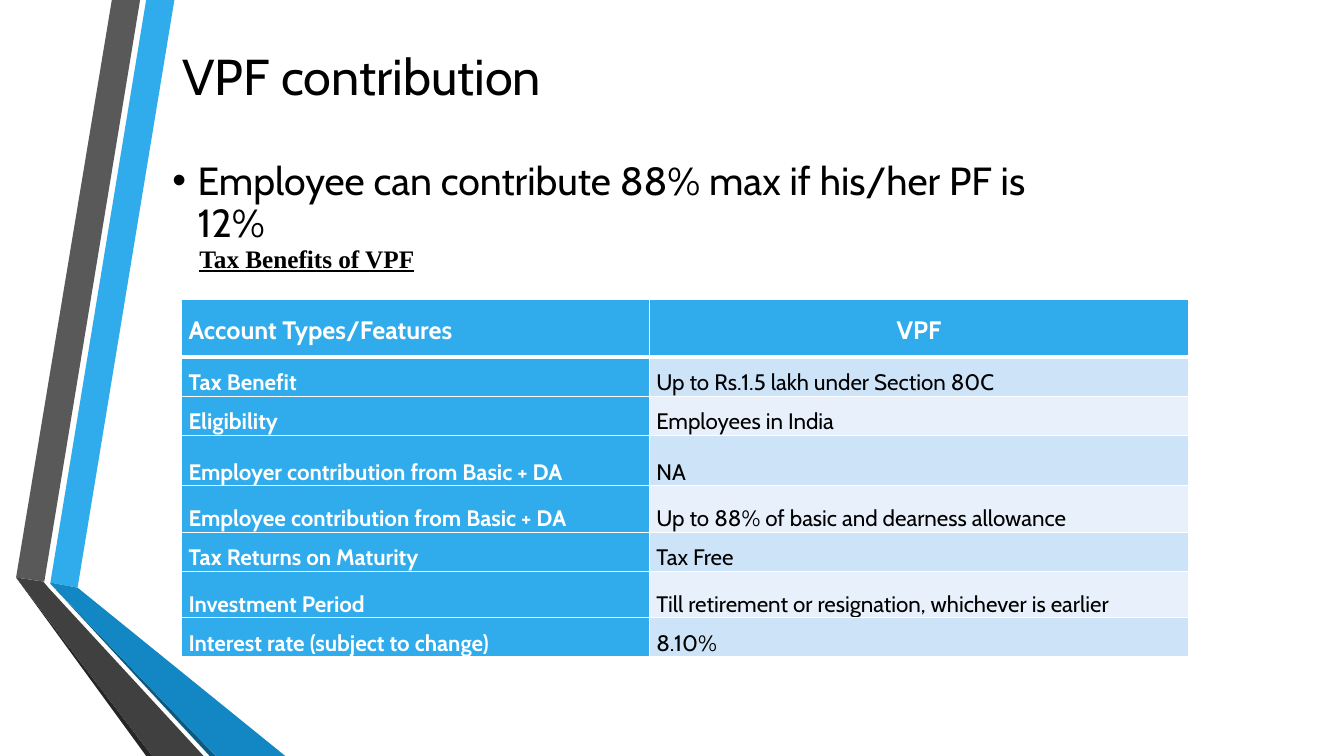
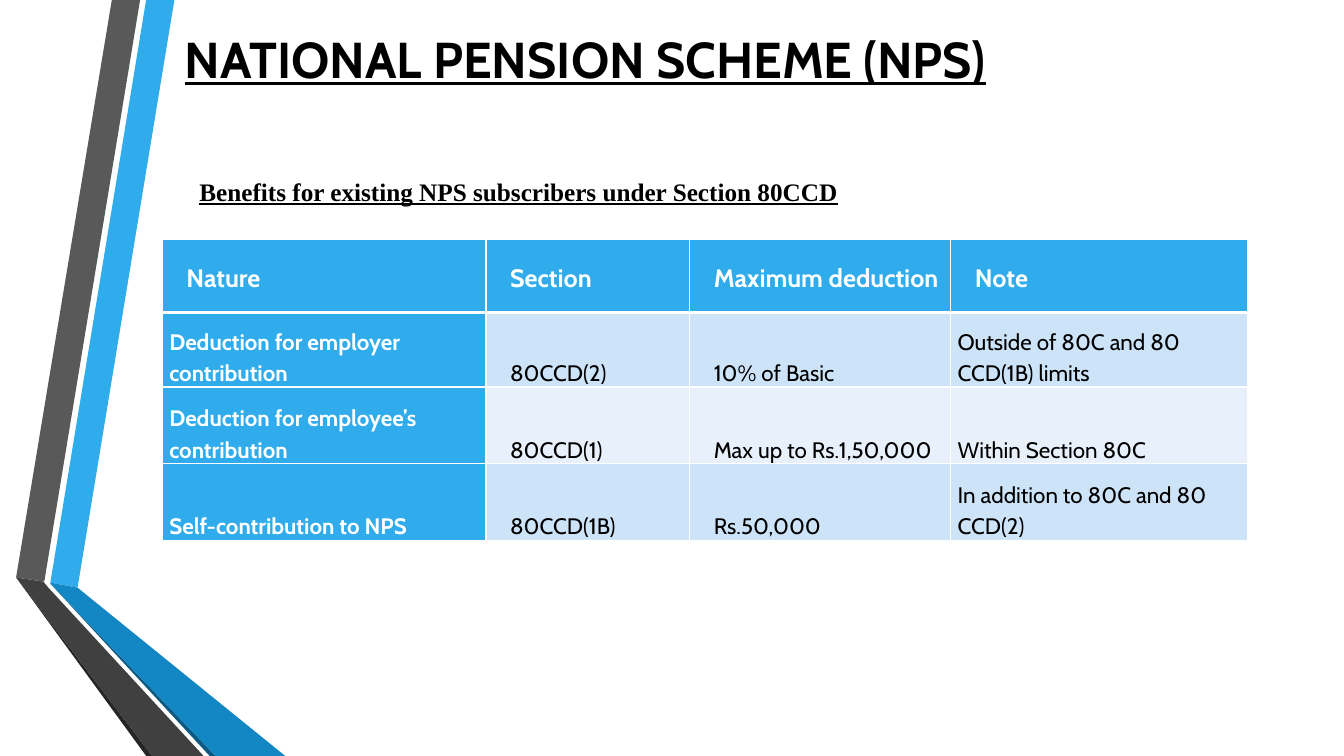
"""Build two slides on VPF and NPS retirement contributions."""
import pptx
import pptx.util
import pptx.dml.color
import pptx.enum.text
import pptx.oxml
import pptx.oxml.ns

PX = 9144
COLOURS = {
    "blue": "30ACEC", "deep_blue": "1287C3", "navy": "0C5A82",
    "grey": "595959", "dark_grey": "404040", "charcoal": "262626",
    "stripe": "CDE3F8", "pale_stripe": "E8F1FB",
    "text": "000000", "white": "FFFFFF",
}
BANDS = [
    ("blue", [(50, 578), (77, 583), (173, 0), (145, 0)]),
    ("grey", [(139, 0), (111, 0), (16, 573), (44, 577)]),
    ("charcoal", [(16, 573), (145, 750), (151, 750)]),
    ("navy", [(50, 579), (208, 750), (214, 750)]),
    ("deep_blue", [(50, 579), (214, 750), (283, 750), (77, 583), (50, 578)]),
    ("dark_grey", [(202, 750), (48, 583), (43, 577), (16, 573), (151, 750)]),
]
ALIGN = pptx.enum.text.PP_ALIGN
ANCHOR = pptx.enum.text.MSO_ANCHOR
TITLE = {"name": "Cabin", "size": pptx.util.Pt(36), "bold": False}
TITLE_STRONG = {**TITLE, "bold": True, "underline": True}
BODY = {"name": "Cabin", "size": pptx.util.Pt(28)}
CAPTION = {"name": "Times New Roman", "size": pptx.util.Pt(18), "bold": True, "underline": True}
HEADER = {"name": "Cabin", "size": pptx.util.Pt(18), "bold": True}
CELL = {"name": "Cabin", "size": pptx.util.Pt(16), "bold": False}
CELL_STRONG = {**CELL, "bold": True}
CELL_FRAME = {"margin_left": 7 * PX, "margin_right": 7 * PX, "margin_top": 0, "margin_bottom": 0}
SHAPE_FRAME = {"word_wrap": True, "auto_size": pptx.enum.text.MSO_AUTO_SIZE.NONE}


def apply(obj, values):
    """Set each named attribute of an object."""
    for name, value in values.items():
        setattr(obj, name, value)


def rgb(name):
    """Return a palette colour."""
    return pptx.dml.color.RGBColor.from_string(COLOURS[name])


def fill(obj, colour):
    """Fill a shape or cell with a palette colour."""
    obj.fill.solid()
    obj.fill.fore_color.rgb = rgb(colour)


def place(sp, box):
    """Position a shape by left, top, width and height in px."""
    apply(sp, dict(zip(("left", "top", "width", "height"), (v * PX for v in box))))


def write(tf, text, font, colour="text", para=None, margin=0, indent=0):
    """Write one formatted paragraph into a text frame."""
    p = tf.paragraphs[0]
    r = p.add_run()
    r.text = text
    apply(r.font, font)
    r.font.color.rgb = rgb(colour)
    apply(p, para or {})
    if margin or indent:
        pPr = p._p.get_or_add_pPr()
        pPr.set("marL", str(margin * PX))
        pPr.set("indent", str(indent * PX))


def fill_frame(sp, box, text, font, anchor=ANCHOR.MIDDLE, **options):
    """Place a text shape and write its paragraph."""
    place(sp, box)
    apply(sp.text_frame, {**SHAPE_FRAME, "vertical_anchor": anchor})
    write(sp.text_frame, text, font, **options)


def add_caption(slide, box, text):
    """Add an underlined caption above a table."""
    fill_frame(slide.shapes.add_textbox(0, 0, 0, 0), box, text, CAPTION)


def add_bands(prs, slide):
    """Draw the folded bands and move them to the slide master."""
    for i, (colour, points) in enumerate(BANDS):
        builder = slide.shapes.build_freeform(*points[0], scale=PX)
        builder.add_line_segments(points[1:], close=True)
        sp = builder.convert_to_shape()
        sp.shadow.inherit = False
        fill(sp, colour)
        sp.line.fill.background()
        sp.element.xpath(".//p:cNvPr")[0].set("id", str(100 + i))
        prs.slide_master.shapes.element.insert(2 + i, sp.element)


def set_borders(cell, **points):
    """Draw white borders whose widths are given per side in points."""
    tcPr = cell._tc.get_or_add_tcPr()
    for i, side in enumerate("LRTB"):
        tcPr.insert(i, pptx.oxml.parse_xml(
            f'<a:ln{side} {pptx.oxml.ns.nsdecls("a")} w="{points.get(side, 1) * 12700}">'
            f'<a:solidFill><a:srgbClr val="{COLOURS["white"]}"/></a:solidFill></a:ln{side}>'))


def add_table(slide, left, top, widths, heights, rows, indents, header_indent=0, header_aligns=None):
    """Add a table with a blue header row and first column over striped cells."""
    box = [v * PX for v in (left, top, sum(widths), sum(heights))]
    table = slide.shapes.add_table(len(rows), len(widths), *box).table
    for column, width in zip(table.columns, widths):
        column.width = width * PX
    for i, (row, height) in enumerate(zip(rows, heights)):
        table.rows[i].height = height * PX
        for j, text in enumerate(row):
            cell = table.cell(i, j)
            header, strong = i == 0, i == 0 or j == 0
            stripe = "stripe" if i % 2 else "pale_stripe"
            fill(cell, "blue" if strong else stripe)
            set_borders(cell, B=3 if header else 1, T=3 if i == 1 else 1)
            apply(cell, {**CELL_FRAME, "vertical_anchor": ANCHOR.MIDDLE if header else ANCHOR.BOTTOM})
            para = {"line_spacing": 1.15}
            if header and header_aligns:
                para["alignment"] = header_aligns[j]
            write(cell.text_frame, text, HEADER if header else CELL_STRONG if strong else CELL,
                  "white" if strong else "text", para, indent=header_indent if header else indents[j])


def build_vpf(slide):
    """Fill the slide on VPF contributions."""
    fill_frame(slide.shapes.title, (171, 37, 786, 76), "VPF contribution", TITLE,
               para={"alignment": ALIGN.LEFT})
    fill_frame(slide.placeholders[1], (161, 155, 912, 81),
               "Employee can contribute 88% max if his/her PF is 12%", BODY, ANCHOR.TOP,
               para={"line_spacing": 0.9, "space_before": pptx.util.Pt(10)}, margin=25, indent=-25)
    add_caption(slide, (188, 236, 267, 40), "Tax Benefits of VPF")
    rows = [
        ("Account Types/Features", "VPF"),
        ("Tax Benefit", "Up to Rs.1.5 lakh under Section 80C"),
        ("Eligibility", "Employees in India"),
        ("Employer contribution from Basic + DA", "NA"),
        ("Employee contribution from Basic + DA", "Up to 88% of basic and dearness allowance"),
        ("Tax Returns on Maturity", "Tax Free"),
        ("Investment Period", "Till retirement or resignation, whichever is earlier"),
        ("Interest rate (subject to change)", "8.10%"),
    ]
    add_table(slide, 180, 297, (464, 535), (57, 39, 39, 50, 46, 39, 46, 39), rows, (0, 0),
              header_aligns=(ALIGN.LEFT, ALIGN.CENTER))


def build_nps(slide):
    """Fill the slide on the National Pension Scheme."""
    fill_frame(slide.shapes.title, (104, 20, 953, 76), "NATIONAL PENSION SCHEME (NPS)", TITLE_STRONG,
               para={"alignment": ALIGN.CENTER})
    add_caption(slide, (188, 167, 660, 45), "Benefits for existing NPS subscribers under Section 80CCD")
    rows = [
        ("Nature", "Section", "Maximum deduction", "Note"),
        ("Deduction for employer contribution", "80CCD(2)", "10% of Basic",
         "Outside of 80C and 80 CCD(1B) limits"),
        ("Deduction for employee’s contribution", "80CCD(1)", "Max up to Rs.1,50,000",
         "Within Section 80C"),
        ("Self-contribution to NPS", "80CCD(1B)", "Rs.50,000", "In addition to 80C and 80 CCD(2)"),
    ]
    add_table(slide, 161, 238, (321, 202, 259, 294), (72, 74, 76, 76), rows, (0, 17, 17, 0),
              header_indent=17)


def main():
    """Build and save the presentation."""
    prs = pptx.Presentation()
    apply(prs, {"slide_width": 1333 * PX, "slide_height": 750 * PX})
    vpf, nps = (prs.slides.add_slide(prs.slide_layouts[i]) for i in (1, 5))
    add_bands(prs, vpf)
    build_vpf(vpf)
    build_nps(nps)
    prs.save("out.pptx")


if __name__ == "__main__":
    main()
